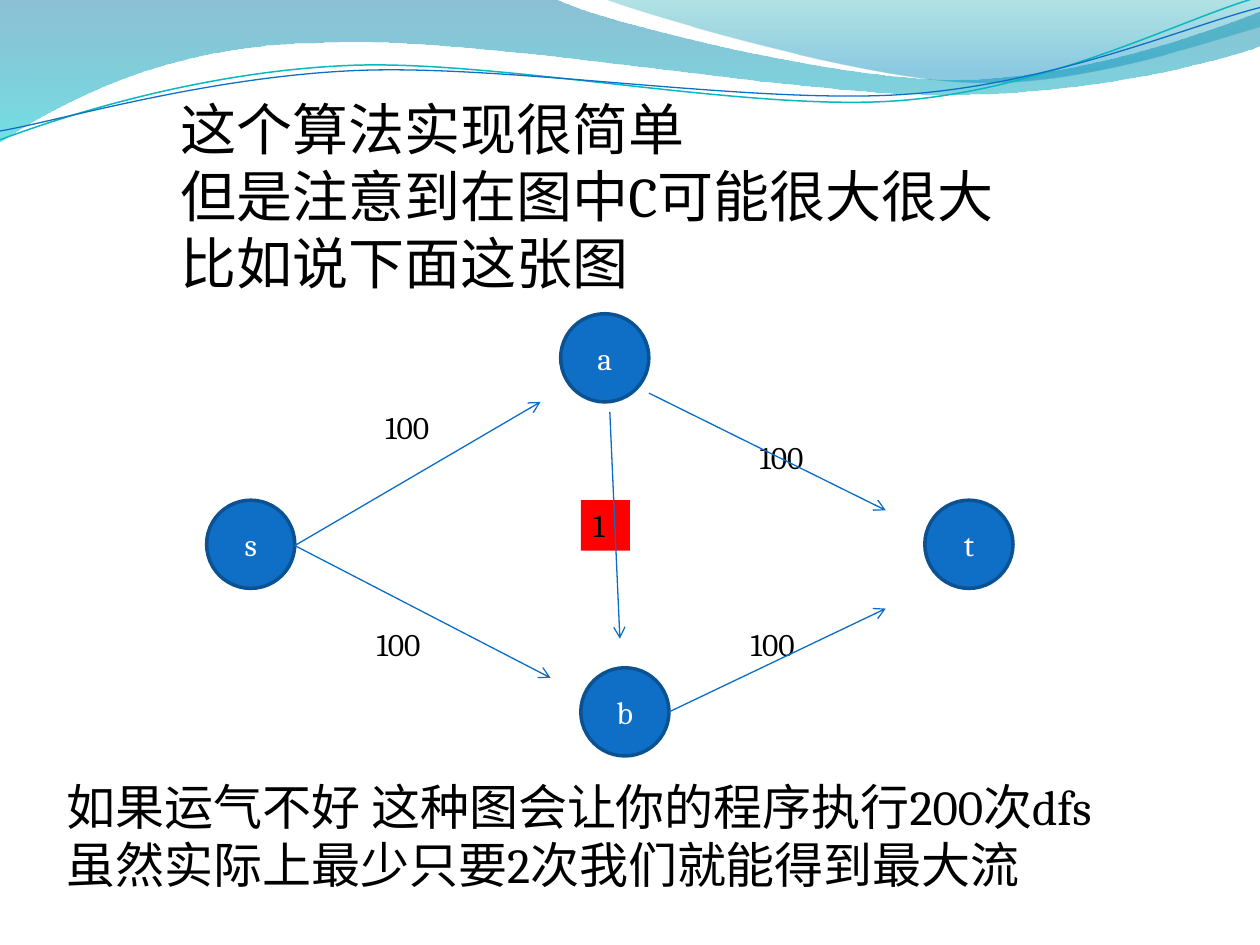
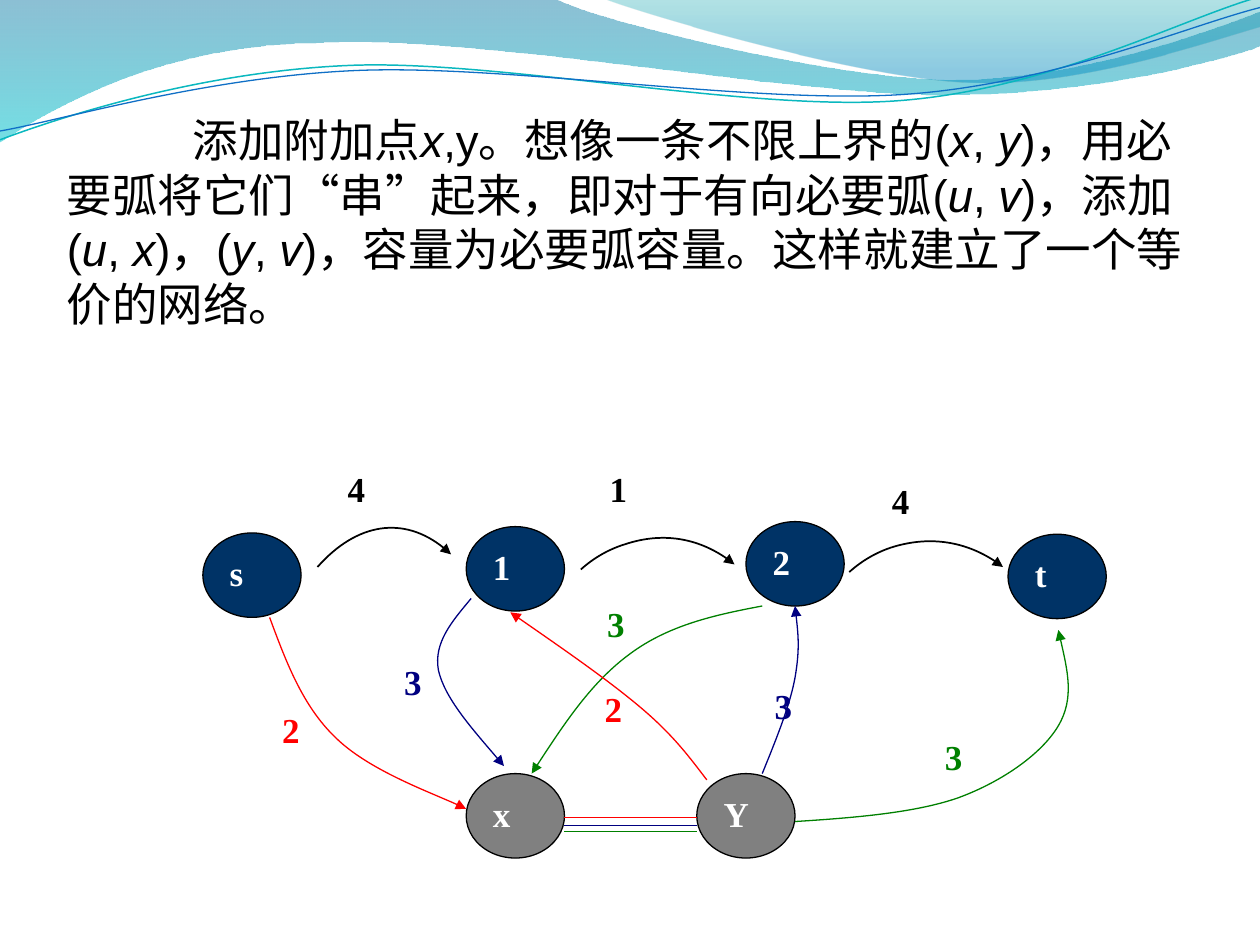
from itertools import islice

from lxml import etree
from pptx import Presentation
from pptx.dml.color import RGBColor
from pptx.enum.shapes import MSO_CONNECTOR, MSO_SHAPE
from pptx.enum.text import MSO_ANCHOR, MSO_AUTO_SIZE, PP_ALIGN
from pptx.oxml.ns import qn
from pptx.util import Inches, Pt

COLORS = {
    "black": "000000", "white": "FFFFFF", "red": "FF0000", "navy": "000080",
    "green": "008000", "gray": "808080", "node": "0F6FC6", "node_line": "0B5292",
    "edge": "0A6DC6", "deep": "003366", "wave_teal": "0AB8BF", "wave_blue": "0F6FC6",
    "band_top": "0074A1", "band_bottom": "00C6CF", "fan_top": "00A1A9", "fan_bottom": "008BBF",
}

# Outlines: a start point, then line ends (2 numbers) or Bezier curves (6 numbers).
BAND = [(0, -0.01), (4.4, -0.01), (4.76, 0.17, 6.64, 0.63, 7.58, 0.63),
        (8.53, 0.63, 9.58, 0.26, 10, 0.09), (10.01, 0.36),
        (9.83, 0.44, 8.7, 0.76, 7.46, 0.75), (6.22, 0.75, 3.82, 0.28, 2.57, 0.34),
        (1.29, 0.35, 0.46, 0.83, -0.01, 1.13)]
FAN = [(4.79, -0.01), (5.09, 0.11, 6.82, 0.62, 7.69, 0.65),
       (8.56, 0.69, 9.61, 0.32, 10, 0.21), (10, 0)]
TEAL_WAVE = [(0, 1.11), (0.48, 0.93, 1.58, 0.57, 2.77, 0.52),
             (3.95, 0.47, 5.93, 0.89, 7.13, 0.8), (8.33, 0.71, 9.38, 0.15, 9.98, -0.02)]
BLUE_WAVE = [(0, 1.04), (0.47, 0.96, 1.64, 0.61, 2.83, 0.56),
             (4.03, 0.51, 5.97, 0.83, 7.17, 0.75), (8.36, 0.67, 9.41, 0.21, 10, 0.06)]


def rgb(name):
    return RGBColor.from_string(COLORS[name])


class Deck:
    def __init__(self):
        self.prs = Presentation()
        self.prs.slide_width, self.prs.slide_height = Inches(10), Inches(7.5)
        self.s = None
        self.font, self.size, self.bold = "Cambria", 18, False

    def new_slide(self, font, size, bold=False):
        """Add a slide whose labels and nodes share one text style."""
        self.s = self.prs.slides.add_slide(self.prs.slide_layouts[1])
        self.font, self.size, self.bold = font, size, bold

    def style_runs(self, tf, font, size, color="black", bold=False):
        for p in tf.paragraphs:
            for r in p.runs:
                r.font.name, r.font.size, r.font.bold = font, Pt(size), bold
                r.font.color.rgb = rgb(color)

    def passage(self, sp, box, text, font, size, indent=0):
        """Fill a placeholder; parts between asterisks are italic."""
        sp.left, sp.top, sp.width, sp.height = map(Inches, box)
        tf = sp.text_frame
        tf.word_wrap, tf.auto_size = True, MSO_AUTO_SIZE.NONE
        tf.vertical_anchor = MSO_ANCHOR.TOP
        for i, line in enumerate(text.split("\n")):
            p = tf.add_paragraph() if i else tf.paragraphs[0]
            for j, part in enumerate(line.split("*")):
                r = p.add_run()
                r.text, r.font.italic = part, j % 2 == 1
            p.alignment, p.space_before = PP_ALIGN.LEFT, Pt(0)
            pPr = p._p.get_or_add_pPr()
            pPr.set("marL", "0")
            pPr.set("indent", str(Inches(indent)))
            etree.SubElement(pPr, qn("a:buNone"))
        self.style_runs(tf, font, size)

    def label(self, x, y, text, color="black", width=0.94, height=0.4, fill=None):
        sp = self.s.shapes.add_textbox(*map(Inches, (x, y, width, height)))
        if fill:
            sp.fill.solid()
            sp.fill.fore_color.rgb = rgb(fill)
        tf = sp.text_frame
        tf.word_wrap, tf.text = True, text
        self.style_runs(tf, self.font, self.size, color, self.bold)

    def node(self, x, y, text, fill, line, line_width, size, centered):
        sp = self.s.shapes.add_shape(MSO_SHAPE.OVAL, *map(Inches, (x, y, *size)))
        sp.shadow.inherit = False
        sp.fill.solid()
        sp.fill.fore_color.rgb = rgb(fill)
        sp.line.color.rgb, sp.line.width = rgb(line), Pt(line_width)
        tf = sp.text_frame
        tf.text = text
        tf.vertical_anchor = MSO_ANCHOR.MIDDLE if centered else MSO_ANCHOR.TOP
        tf.paragraphs[0].alignment = PP_ALIGN.CENTER if centered else PP_ALIGN.LEFT
        self.style_runs(tf, self.font, self.size, "white", self.bold)

    def arrowhead(self, sp, kind):
        etree.SubElement(sp.line._get_or_add_ln(), qn("a:tailEnd"), type=kind)

    def line(self, start, end, color, head=None):
        cx = self.s.shapes.add_connector(MSO_CONNECTOR.STRAIGHT, *map(Inches, start + end))
        cx.line.color.rgb, cx.line.width = rgb(color), Pt(0.75)
        if head:
            self.arrowhead(cx, head)
        etree.SubElement(cx._element.spPr, qn("a:effectLst"))

    def outline(self, segments, close=False):
        """Build a freeform, turning each three-point segment into a Bezier curve."""
        points = [tuple(map(Inches, seg[i:i + 2]))
                  for seg in segments for i in range(0, len(seg), 2)]
        builder = self.s.shapes.build_freeform(*points[0], scale=1.0)
        builder.add_line_segments(points[1:], close=close)
        sp = builder.convert_to_shape()
        sp.shadow.inherit = False
        geometry = sp.element.find(".//" + qn("a:path"))
        steps = iter(geometry.findall(qn("a:lnTo")))
        for seg in segments[1:]:
            first, *rest = islice(steps, len(seg) // 2)
            if rest:
                first.tag = qn("a:cubicBezTo")
            for step in rest:
                first.append(step[0])
                geometry.remove(step)
        return sp

    def curve(self, segments, color, width=0.75, head="triangle"):
        sp = self.outline(segments)
        sp.fill.background()
        sp.line.color.rgb, sp.line.width = rgb(color), Pt(width)
        if head:
            self.arrowhead(sp, head)
        return sp

    def gradient(self, segments, stops):
        """Closed outline shaded downwards; stops are (position, colour, opacity %)."""
        sp = self.outline(segments, close=True)
        sp.line.fill.background()
        sp.fill.gradient()
        sp.fill.gradient_angle = 270
        for stop, (position, color, _) in zip(sp.fill.gradient_stops, stops):
            stop.position, stop.color.rgb = position, rgb(color)
        for clr, (_, _, opacity) in zip(sp.element.iter(qn("a:srgbClr")), stops):
            etree.SubElement(clr, qn("a:alpha"), val=str(opacity * 1000))
        return sp

    def waves_to_master(self):
        """Draw the top waves and move them behind everything on the master."""
        waves = [
            self.gradient(BAND, [(0, "band_top", 45), (1, "band_bottom", 55)]),
            self.gradient(FAN, [(0, "fan_top", 30), (0.8, "fan_bottom", 45)]),
            self.curve(TEAL_WAVE, "wave_teal", 0.85, None),
            self.curve(BLUE_WAVE, "wave_blue", 0.75, None),
        ]
        tree = self.prs.slide_master.element.cSld.spTree
        for i, sp in enumerate(waves):
            sp.element.nvSpPr.cNvPr.set("id", str(100 + i))
            tree.insert(2 + i, sp.element)


def worst_case_slide(deck):
    deck.new_slide("Cambria", 18)
    deck.waves_to_master()
    title, body = deck.s.placeholders
    deck.passage(title, (1.33, 0.7, 7.34, 1.72),
                 "这个算法实现很简单\n但是注意到在图中C可能很大很大\n比如说下面这张图", "Cambria", 32)
    deck.passage(body, (0.43, 6.11, 9.37, 1.04),
                 "如果运气不好 这种图会让你的程序执行200次dfs\n"
                 "虽然实际上最少只要2次我们就能得到最大流", "Cambria", 28)
    for x, y, name in [(1.64, 3.97, "s"), (4.45, 2.49, "a"), (4.61, 5.3, "b"), (7.34, 3.97, "t")]:
        deck.node(x, y, name, "node", "node_line", 2, (0.7, 0.7), True)
    for x, y in [(2.96, 3.19), (5.93, 3.43), (5.86, 4.91), (2.89, 4.91)]:
        deck.label(x, y, "100")
    deck.label(4.61, 3.97, "1", width=0.39, fill="red")
    for start, end in [((2.34, 4.33), (4.29, 3.19)), ((2.34, 4.33), (4.37, 5.38)),
                       ((5.15, 3.12), (7.03, 4.05)), ((5.31, 5.65), (7.03, 4.83)),
                       ((4.84, 3.27), (4.92, 5.07))]:
        deck.line(start, end, "edge", "arrow")


def equivalent_network_slide(deck):
    deck.new_slide("Times New Roman", 20, bold=True)
    title, body = deck.s.placeholders
    title.element.getparent().remove(title.element)
    deck.passage(body, (0.43, 0.84, 9.21, 1.85),
                 "添加附加点*x*,y。想像一条不限上界的(*x*, *y*)，用必要弧将它们“串”起来，"
                 "即对于有向必要弧(*u*, *v*)，添加(*u*, *x*)，(*y*, *v*)，"
                 "容量为必要弧容量。这样就建立了一个等价的网络。", "Arial", 26, indent=1)
    for x, y, name, fill in [(1.61, 4.23, "s", "deep"), (3.7, 4.18, "1", "deep"),
                             (5.92, 4.14, "2", "deep"), (8, 4.24, "t", "deep"),
                             (3.7, 6.14, "x", "gray"), (5.53, 6.14, "Y", "gray")]:
        deck.node(x, y, name, fill, "black", 0.75, (0.78, 0.67), False)
    for x, y, text, color in [
            (2.66, 3.66, "4", "black"), (4.74, 3.66, "1", "black"), (6.98, 3.76, "4", "black"),
            (2.14, 5.57, "2", "red"), (4.7, 5.41, "2", "red"),
            (3.11, 5.19, "3", "navy"), (6.05, 5.38, "3", "navy"),
            (4.72, 4.73, "3", "green"), (7.4, 5.79, "3", "green")]:
        deck.label(x, y, text, color, 0.78, 0.57)
    for arc in [
            [(2.52, 4.5), (2.83, 4.15, 3.25, 4.08, 3.58, 4.4)],
            [(4.61, 4.52), (4.71, 4.43, 4.83, 4.36, 4.96, 4.32),
             (5.26, 4.22, 5.59, 4.28, 5.83, 4.48)],
            [(6.74, 4.54), (6.84, 4.45, 6.96, 4.38, 7.09, 4.34),
             (7.39, 4.25, 7.72, 4.31, 7.96, 4.5)]]:
        deck.curve(arc, "black", 1)
    for color, arc in [
            ("red", [(2.14, 4.9), (2.27, 5.25, 2.4, 5.6, 2.66, 5.85),
                     (2.92, 6.11, 3.53, 6.33, 3.7, 6.42)]),
            ("navy", [(6.05, 6.14), (6.16, 5.87, 6.27, 5.6, 6.31, 5.38),
                      (6.35, 5.15, 6.33, 4.98, 6.31, 4.81)]),
            ("green", [(6.31, 6.52), (6.79, 6.49, 7.27, 6.45, 7.61, 6.33),
                       (7.96, 6.2, 8.27, 5.98, 8.4, 5.76), (8.53, 5.54, 8.46, 5.27, 8.4, 5)]),
            ("green", [(6.05, 4.81), (5.68, 4.88, 5.31, 4.96, 5, 5.19),
                       (4.7, 5.41, 4.46, 5.77, 4.22, 6.14)]),
            ("red", [(5.61, 6.19), (5.48, 6.02, 5.35, 5.84, 5.09, 5.62),
                     (4.83, 5.4, 4.44, 5.13, 4.05, 4.86)]),
            ("navy", [(3.74, 4.75), (3.59, 4.93, 3.44, 5.1, 3.48, 5.32),
                      (3.53, 5.54, 3.77, 5.81, 4, 6.08)])]:
        deck.curve(arc, color)
    for y, color in [(6.49, "red"), (6.55, "navy"), (6.6, "green")]:
        deck.line((4.48, y), (5.53, y), color)


def main():
    deck = Deck()
    worst_case_slide(deck)
    equivalent_network_slide(deck)
    deck.prs.save("out.pptx")


if __name__ == "__main__":
    main()
